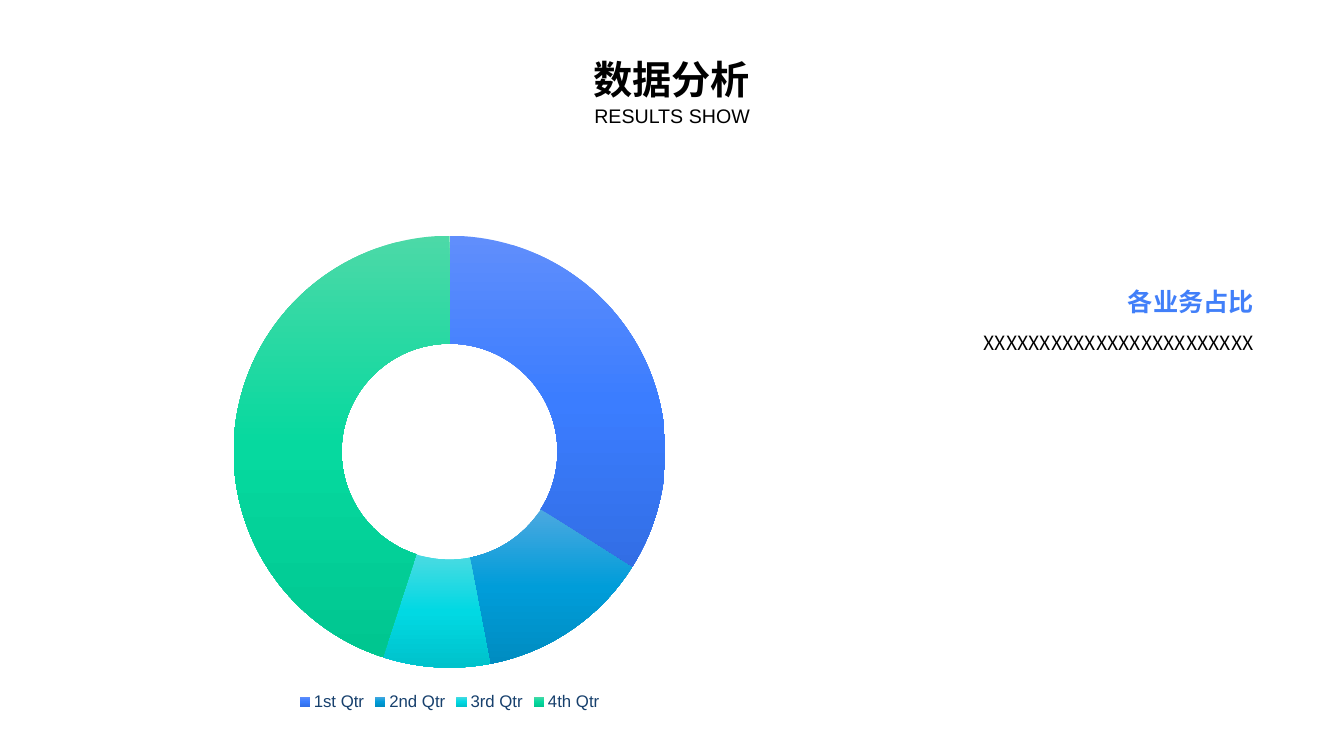
from copy import deepcopy
from pptx import Presentation
from pptx.chart.data import CategoryChartData as Data
from pptx.dml.color import RGBColor as RGB
from pptx.enum.chart import XL_CHART_TYPE as Kind, XL_LEGEND_POSITION as Place
from pptx.enum.text import MSO_ANCHOR as Anchor, MSO_AUTO_SIZE as Fit, PP_ALIGN as Align
from pptx.oxml import parse_xml
from pptx.oxml.ns import nsdecls
from pptx.util import Cm, Pt

HUES = {
    "ink": "000000",
    "blue": "417FF9",
    "navy": "17406D",
    "1st Qtr": ("608EFC", "3B7DFF", "326EE5"),
    "2nd Qtr": ("4BA8E0", "009DD9", "008CC1"),
    "3rd Qtr": ("4BDAE2", "01D9E3", "00C2CB"),
    "4th Qtr": ("4CD9A7", "06D99F", "00C690"),
}
SHARE = {"1st Qtr": 34, "2nd Qtr": 13, "3rd Qtr": 8, "4th Qtr": 45}
LATIN = "Arial"
HAN = "Noto Sans CJK SC"


class Deck:
    def __init__(self):
        self.show = Presentation()
        self.show.slide_width, self.show.slide_height = Cm(33.87), Cm(19.05)
        self.slide = self.show.slides.add_slide(self.show.slide_layouts[5])

    def style(self, font, size, hue, face, bold=False):
        font.size, font.name, font.bold = Pt(size), face, bold
        font.color.rgb = RGB.from_string(HUES[hue])

    def letter(self, box, words, size, hue="ink", face=HAN, bold=False, align=Align.CENTER, lead=1.0):
        frame = box.text_frame
        frame.word_wrap = True
        frame.auto_size = Fit.NONE
        frame.vertical_anchor = Anchor.TOP
        para = frame.paragraphs[0]
        para.alignment, para.line_spacing = align, lead
        run = para.add_run()
        run.text = words
        self.style(run.font, size, hue, face, bold)
        props = run.font._element
        props.append(parse_xml(f'<a:ea {nsdecls("a")} typeface="{face}"/>'))

    def title(self, spot, words, size):
        box = self.slide.shapes.title
        box.left, box.top, box.width, box.height = map(Cm, spot)
        self.letter(box, words, size, bold=True)

    def text(self, spot, words, size, **look):
        self.letter(self.slide.shapes.add_textbox(*map(Cm, spot)), words, size, **look)

    def shade(self, point, hues):
        fill = point.format.fill
        fill.gradient()
        first = fill.gradient_stops[0]._gs
        first.addnext(deepcopy(first))
        fill.gradient_angle = 270
        for stop, hue, pos in zip(fill.gradient_stops, hues, (0, 0.5, 1)):
            stop.color.rgb = RGB.from_string(hue)
            stop.position = pos
        point.format.line.fill.background()

    def ring(self, spot, name, share, hole):
        data = Data()
        data.categories = list(share)
        data.add_series(name, list(share.values()))
        frame = self.slide.shapes.add_chart(Kind.DOUGHNUT, *map(Cm, spot), data)
        chart = frame.chart
        self.style(chart.font, 10, "ink", LATIN)
        chart.has_title = False
        chart.has_legend = True
        chart.legend.position = Place.BOTTOM
        chart.legend.include_in_layout = False
        self.style(chart.legend.font, 12, "navy", LATIN)
        plot = chart.plots[0]
        plot.vary_by_categories = True
        plot.has_data_labels = False
        for size in chart._chartSpace.xpath(".//c:holeSize"):
            size.set("val", str(hole))
        for rank, label in enumerate(share):
            self.shade(plot.series[0].points[rank], HUES[label])


def main():
    deck = Deck()
    deck.ring((2.01, 5.59, 18.64, 12.42), "Series 1", SHARE, 75)
    deck.title((9.68, 1.27, 14.5, 1.45), "数据分析", 28)
    deck.text((12.04, 2.49, 9.8, 0.86), "RESULTS SHOW", 14, face=LATIN)
    deck.text((26.95, 6.93, 4.9, 1.09), "各业务占比", 18,
              hue="blue", bold=True, align=Align.RIGHT, lead=1.2)
    deck.text((20.42, 8.03, 11.43, 0.97), "XXXXXXXXXXXXXXXXXXXXXXXX", 14,
              align=Align.RIGHT, lead=1.3)
    deck.show.save("out.pptx")


if __name__ == "__main__":
    main()
